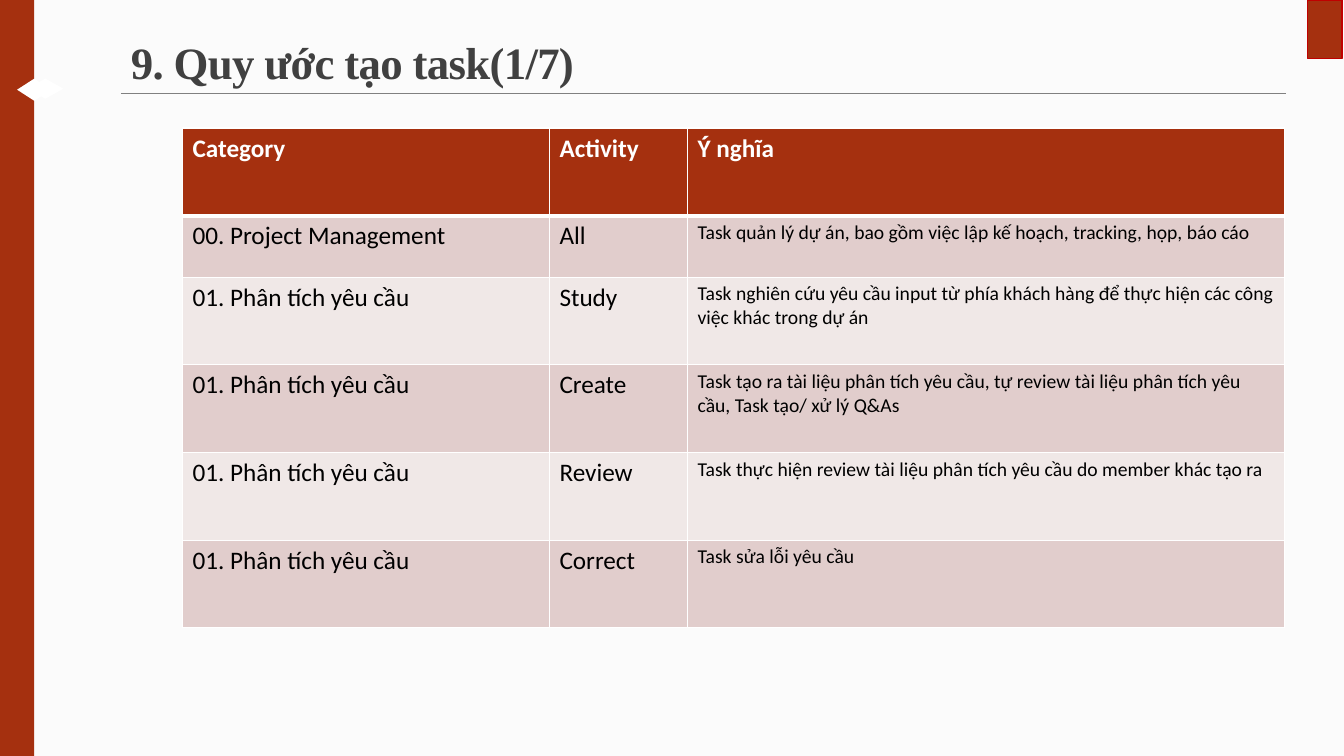
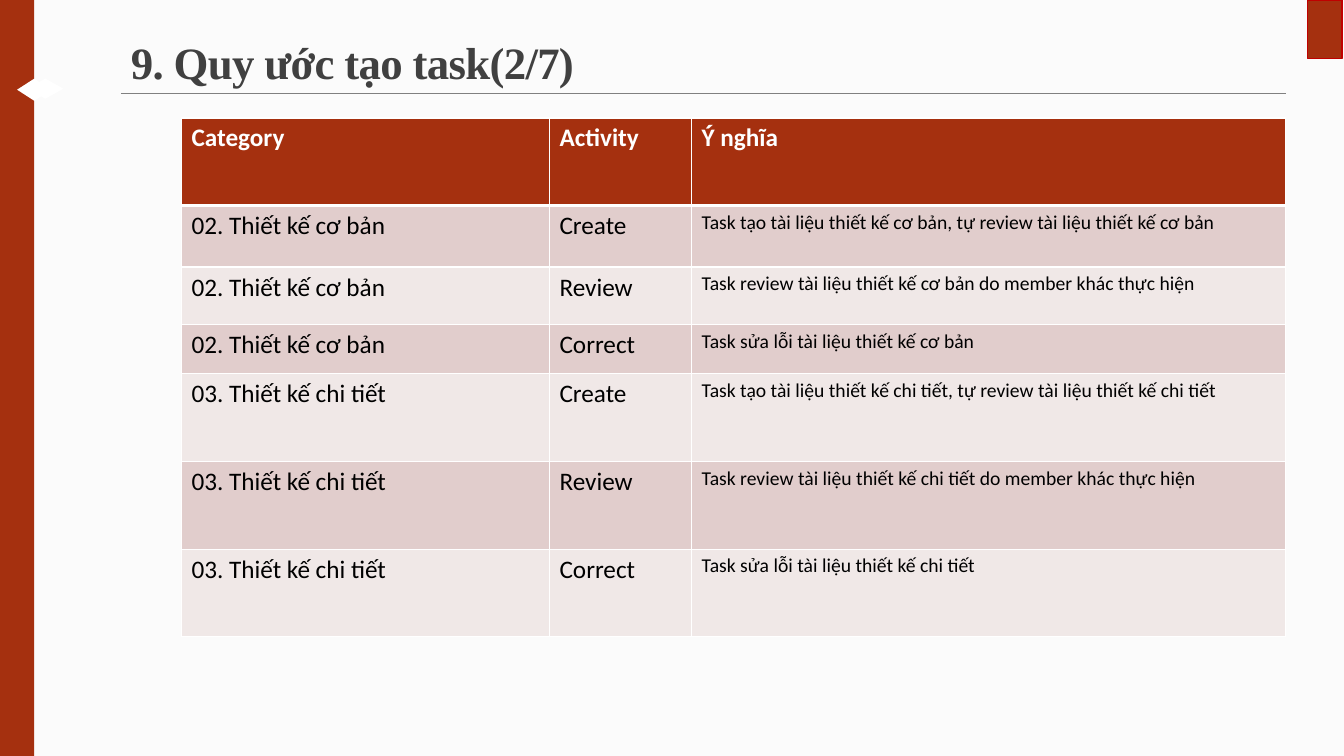
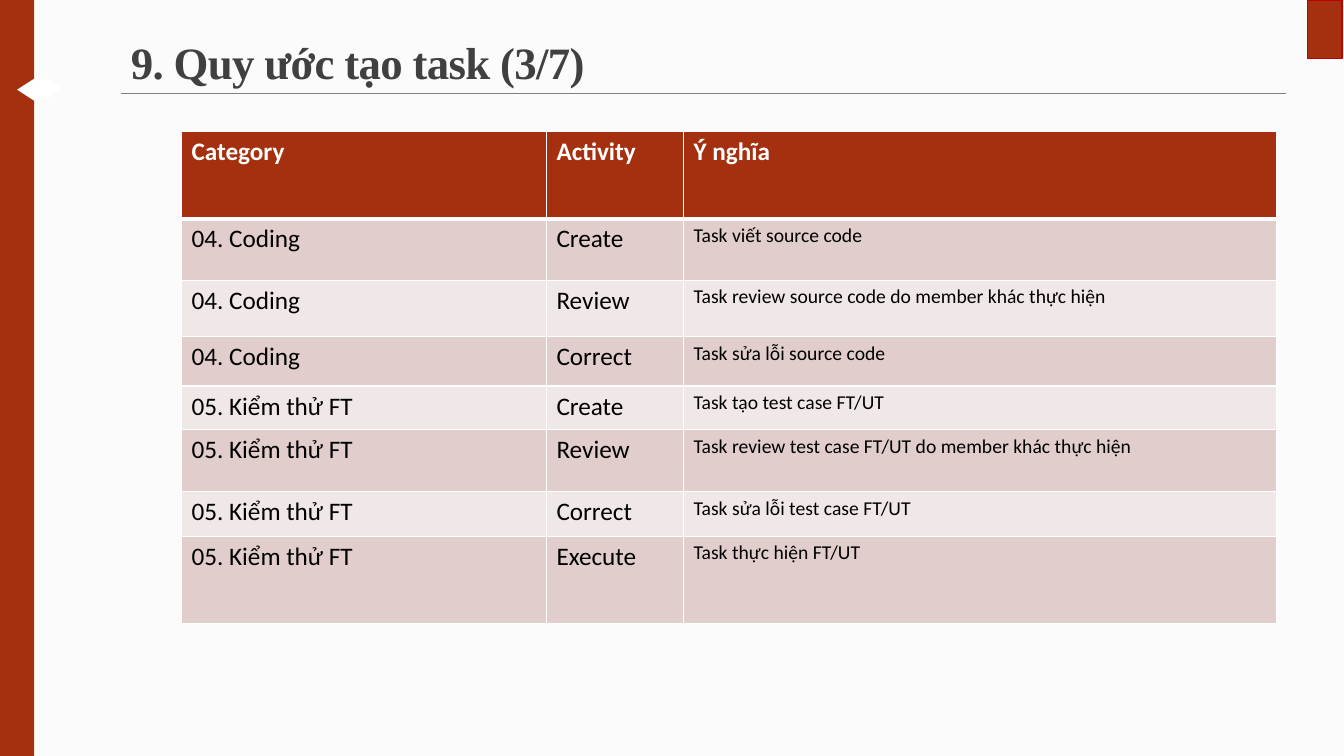
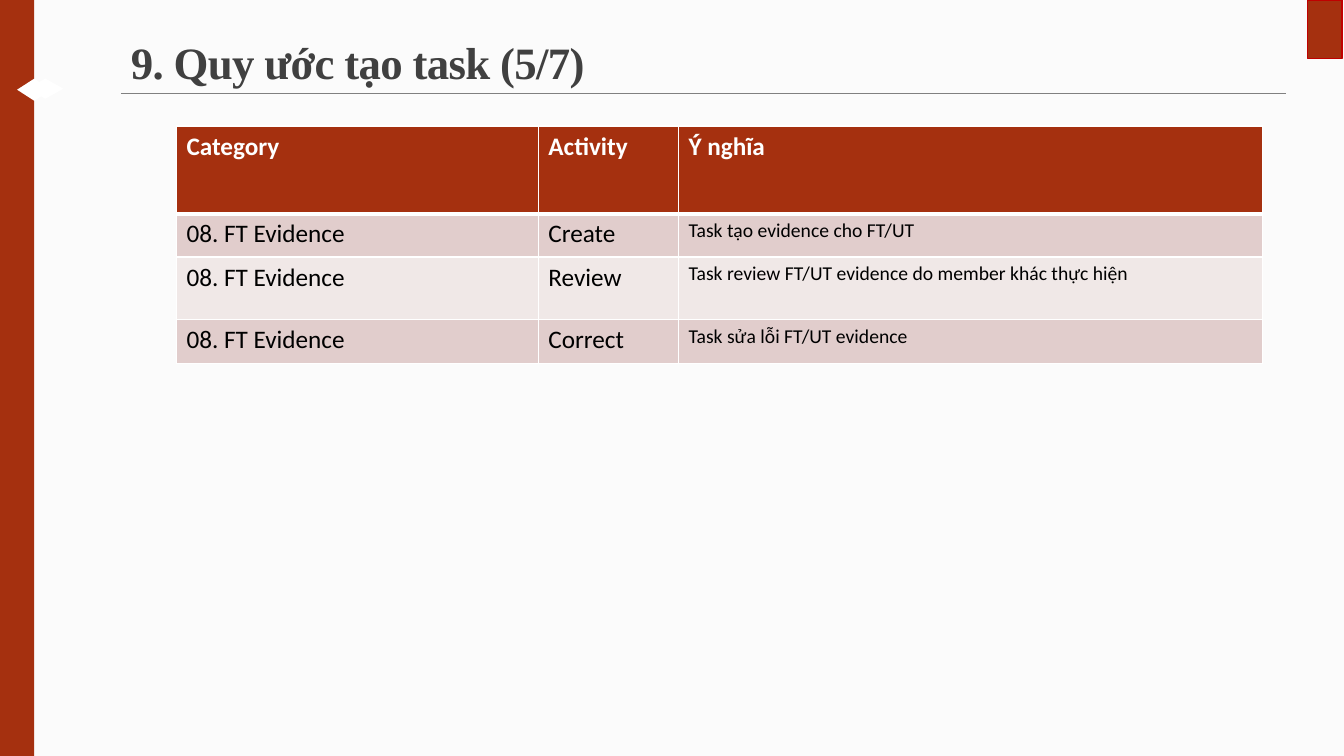
from pptx import Presentation
from pptx.dml.color import RGBColor
from pptx.enum.shapes import MSO_CONNECTOR, MSO_SHAPE
from pptx.enum.text import MSO_ANCHOR
from pptx.oxml.ns import qn
from pptx.util import Inches, Pt
from lxml import etree

RECT, DIAMOND = MSO_SHAPE.RECTANGLE, MSO_SHAPE.DIAMOND
STRAIGHT, BOTTOM = MSO_CONNECTOR.STRAIGHT, MSO_ANCHOR.BOTTOM

PAPER = RGBColor(0xFB, 0xFB, 0xFB)
RUST = RGBColor(0xA5, 0x30, 0x0F)
RED = RGBColor(0xC0, 0x00, 0x00)
GREY = RGBColor(0x80, 0x80, 0x80)
DARK = RGBColor(0x40, 0x40, 0x40)
WHITE = RGBColor(0xFF, 0xFF, 0xFF)
BLACK = RGBColor(0x00, 0x00, 0x00)
BANDS = [RGBColor(0xE1, 0xCD, 0xCC), RGBColor(0xF0, 0xE8, 0xE7)]

WIDTH, HEIGHT = 13.33, 7.5
TITLE_BOX = (1.2, 0.31, 11.55, 0.62)
HEAD = ("Category", "Activity", "Ý nghĩa")
HEAD_ROW = 0.87
SIZES = (18, 18, 14)

STUDY = "01. Phân tích yêu cầu"
BASIC = "02. Thiết kế cơ bản"
DETAIL = "03. Thiết kế chi tiết"
CODE = "04. Coding"
TEST = "05. Kiểm thử FT"
PROOF = "08. FT Evidence"

# Each row: height, category, activity, meaning
SLIDES = [
    {"title": "9. Quy ước tạo task(1/7)", "at": (1.81, 1.27), "cols": (3.64, 1.37, 5.92), "rows": [
        (0.61, "00. Project Management", "All",
         "Task quản lý dự án, bao gồm việc lập kế hoạch, tracking, họp, báo cáo"),
        (0.87, STUDY, "Study",
         "Task nghiên cứu yêu cầu input từ phía khách hàng để thực hiện các công việc khác trong dự án"),
        (0.87, STUDY, "Create",
         "Task tạo ra tài liệu phân tích yêu cầu, tự review tài liệu phân tích yêu cầu, "
         "Task tạo/ xử lý Q&As"),
        (0.87, STUDY, "Review",
         "Task thực hiện review tài liệu phân tích yêu cầu do member khác tạo ra"),
        (0.87, STUDY, "Correct", "Task sửa lỗi yêu cầu"),
    ]},
    {"title": "9. Quy ước tạo task(2/7)", "at": (1.8, 1.17), "cols": (3.65, 1.41, 5.89), "rows": [
        (0.61, BASIC, "Create",
         "Task tạo tài liệu thiết kế cơ bản, tự review tài liệu thiết kế cơ bản"),
        (0.57, BASIC, "Review", "Task review tài liệu thiết kế cơ bản do member khác thực hiện"),
        (0.49, BASIC, "Correct", "Task sửa lỗi tài liệu thiết kế cơ bản"),
        (0.87, DETAIL, "Create",
         "Task tạo tài liệu thiết kế chi tiết, tự review tài liệu thiết kế chi tiết"),
        (0.87, DETAIL, "Review", "Task review tài liệu thiết kế chi tiết do member khác thực hiện"),
        (0.87, DETAIL, "Correct", "Task sửa lỗi tài liệu thiết kế chi tiết"),
    ]},
    {"title": "9. Quy ước tạo task (3/7)", "at": (1.8, 1.3), "cols": (3.62, 1.36, 5.88), "rows": [
        (0.61, CODE, "Create", "Task viết source code"),
        (0.56, CODE, "Review", "Task review source code do member khác thực hiện"),
        (0.49, CODE, "Correct", "Task sửa lỗi source code"),
        (0.43, TEST, "Create", "Task tạo test case FT/UT"),
        (0.62, TEST, "Review", "Task review test case FT/UT do member khác thực hiện"),
        (0.44, TEST, "Correct", "Task sửa lỗi test case FT/UT"),
        (0.87, TEST, "Execute", "Task thực hiện FT/UT"),
    ]},
    {"title": "9. Quy ước tạo task (5/7)", "at": (1.75, 1.25), "cols": (3.59, 1.39, 5.79), "rows": [
        (0.43, PROOF, "Create", "Task tạo evidence cho FT/UT"),
        (0.62, PROOF, "Review", "Task review FT/UT evidence do member khác thực hiện"),
        (0.44, PROOF, "Correct", "Task sửa lỗi FT/UT evidence"),
    ]},
]


def inches(*nums):
    return [Inches(n) for n in nums]


def style(para, name, size, color, bold):
    font = para.runs[0].font
    font.name, font.size, font.bold = name, Pt(size), bold
    font.color.rgb = color


def add_block(slide, kind, box, fill, edge=None):
    shape = slide.shapes.add_shape(kind, *inches(*box))
    shape.shadow.inherit = False
    shape.fill.solid()
    shape.fill.fore_color.rgb = fill
    if edge is None:
        shape.line.fill.background()
    else:
        shape.line.color.rgb = edge
        shape.line.width = Pt(1)


def add_frame(slide):
    """Draw the side band, the corner tab, the diamonds and the title rule."""
    add_block(slide, RECT, (12.97, 0, 0.34, 0.58), RUST, RED)
    add_block(slide, DIAMOND, (0.27, 0.78, 0.36, 0.2), WHITE)
    add_block(slide, RECT, (0, 0, 0.34, HEIGHT), RUST)
    left, top, width, height = TITLE_BOX
    base = top + height
    rule = slide.shapes.add_connector(STRAIGHT, *inches(left, base, left + width, base))
    rule.line.color.rgb = GREY
    rule.line.width = Pt(0.5)
    etree.SubElement(rule._element.spPr, qn("a:effectLst"))
    add_block(slide, DIAMOND, (0.17, 0.78, 0.34, 0.22), WHITE)


def add_title(slide, text):
    frame = slide.shapes.add_textbox(*inches(*TITLE_BOX)).text_frame
    frame.word_wrap = True
    frame.vertical_anchor = BOTTOM
    frame.text = text
    para = frame.paragraphs[0]
    para.line_spacing = 0.85
    style(para, "Times New Roman", 32, DARK, True)
    para.runs[0]._r.get_or_add_rPr().set("spc", "-50")


def set_edges(cell, top, bottom):
    """Give the cell white borders; top and bottom are widths in points."""
    props = cell._tc.get_or_add_tcPr()
    for side, width in (("L", 1), ("R", 1), ("T", top), ("B", bottom)):
        line = etree.SubElement(props, qn("a:ln" + side), w=str(Pt(width)))
        fill = etree.SubElement(line, qn("a:solidFill"))
        etree.SubElement(fill, qn("a:srgbClr"), val=str(WHITE))


def add_grid(slide, at, cols, rows):
    rows = [(HEAD_ROW, *HEAD)] + rows
    high = sum(row[0] for row in rows)
    box = inches(*at, sum(cols), high)
    table = slide.shapes.add_table(len(rows), len(cols), *box).table
    for col, width in zip(table.columns, cols):
        col.width = Inches(width)
    for r, (height, *texts) in enumerate(rows):
        table.rows[r].height = Inches(height)
        head = r == 0
        for c, text in enumerate(texts):
            cell = table.cell(r, c)
            set_edges(cell, 3 if r == 1 else 1, 3 if head else 1)
            cell.fill.solid()
            cell.fill.fore_color.rgb = RUST if head else BANDS[(r - 1) % 2]
            cell.text_frame.text = text
            style(cell.text_frame.paragraphs[0], "Calibri", 18 if head else SIZES[c],
                  WHITE if head else BLACK, head)


def main():
    prs = Presentation()
    prs.slide_width, prs.slide_height = inches(WIDTH, HEIGHT)
    back = prs.slide_master.background.fill
    back.solid()
    back.fore_color.rgb = PAPER
    for item in SLIDES:
        slide = prs.slides.add_slide(prs.slide_layouts[6])
        add_frame(slide)
        add_title(slide, item["title"])
        add_grid(slide, item["at"], item["cols"], item["rows"])
    prs.save("out.pptx")


if __name__ == "__main__":
    main()
